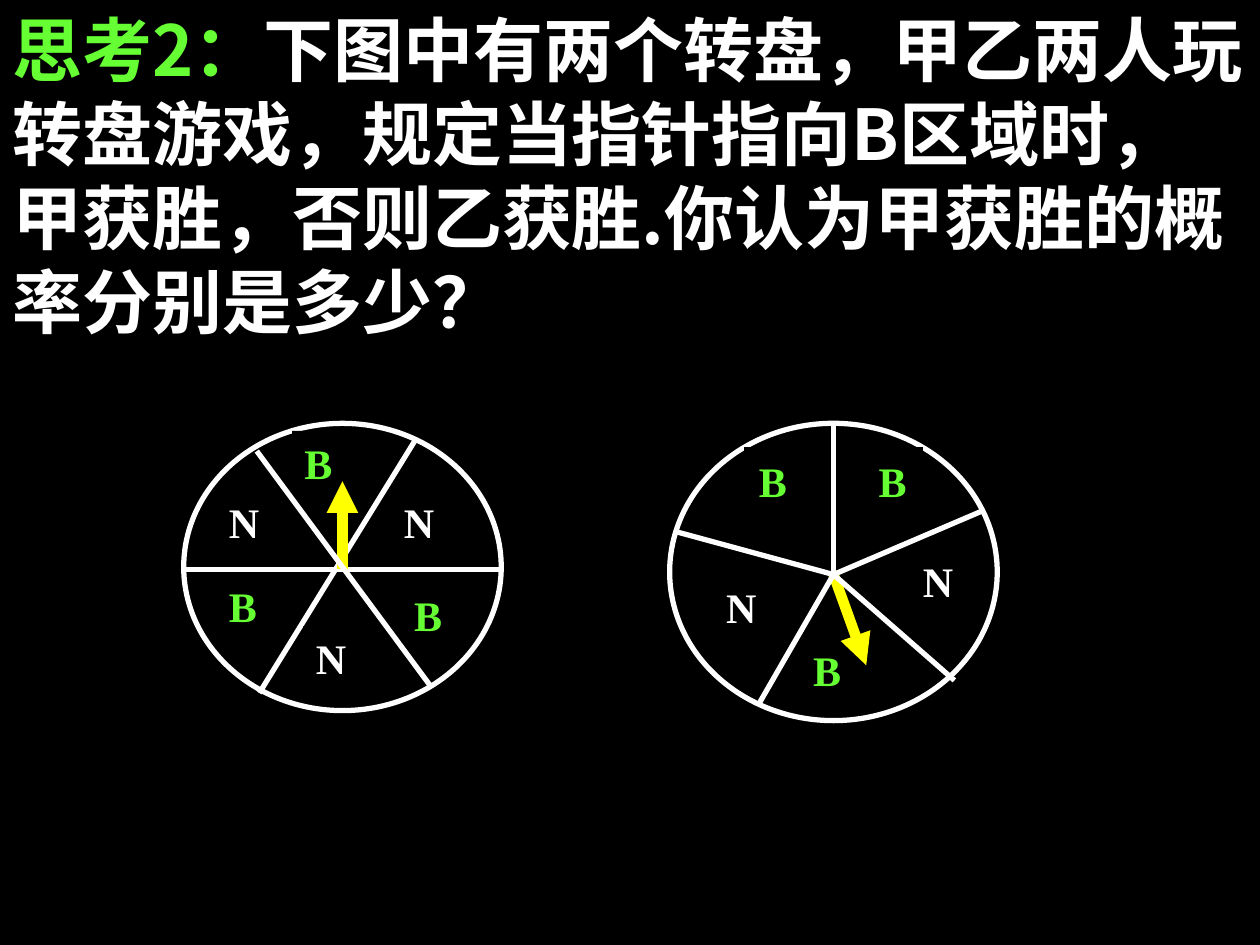
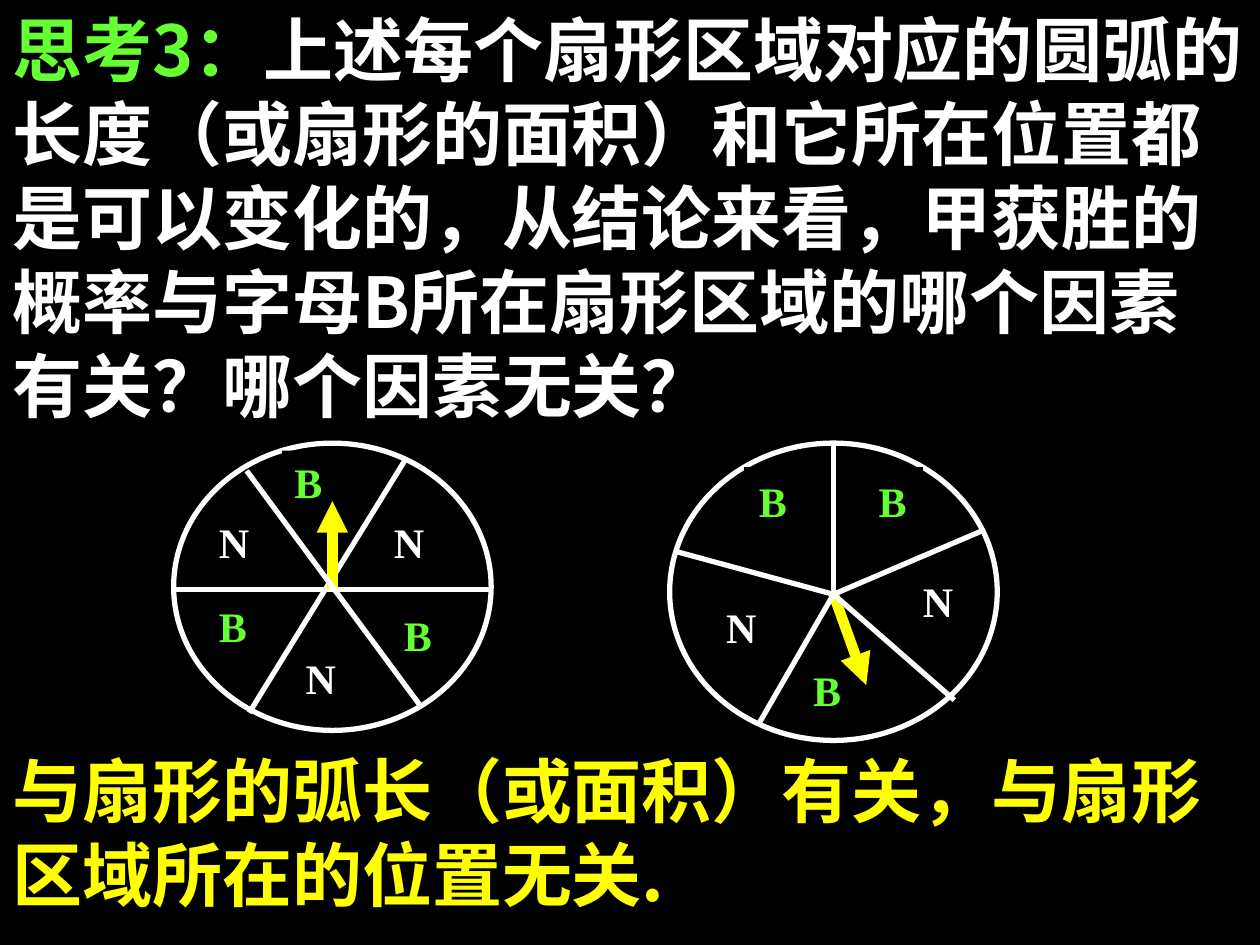
from typing import NamedTuple

from lxml import etree
from pptx import Presentation
from pptx import util as u
from pptx.dml.color import RGBColor
from pptx.enum import shapes, text
from pptx.oxml.ns import qn

WIDE, HIGH = u.Inches(10), u.Inches(7.5)
CELL = WIDE / 100
BLACK, WHITE, GREEN, YELLOW = "000000", "FFFFFF", "66FF33", "FFFF00"
HAN, ROMAN = "Noto Sans CJK SC", "Times New Roman"


class Line(NamedTuple):
    x1: float
    y1: float
    x2: float
    y2: float


class Label(NamedTuple):
    word: str
    x: float
    y: float
    wide: float
    high: float
    edge: bool = False


class Wheel(NamedTuple):
    wide: float
    high: float
    under: list[Line]
    arrow: Line
    over: list[Line]
    labels: list[Label]
    solid: bool


HUB = (13, 12)
SIX = Wheel(
    25.2, 22.8,
    [Line(0, 11.6, 25.2, 11.6), Line(18.4, 1.3, 6, 21.4)],
    Line(12.6, 11.6, 12.6, 4.6),
    [Line(5.8, 2.2, 19.7, 21)],
    [Label("B", 2.6, 12, 4.3, 4.7), Label("N", 9.5, 16.1, 5.2, 4.7),
     Label("B", 8.6, 0.6, 3.5, 4), Label("B", 17.3, 12.7, 4.3, 4.7),
     Label("N", 16.5, 5.3, 5.2, 4.7), Label("N", 2.6, 5.3, 5.2, 4.7)],
    True,
)
FIVE = Wheel(
    26, 23.6,
    [Line(*HUB, 13, 0)],
    Line(*HUB, 15.6, 19.2),
    [Line(*HUB, x, y) for x, y in [(0.5, 8.6), (7, 22.4), (22.6, 20.4), (24.7, 7)]],
    [Label("B", 6.1, 2.1, 4.3, 5, True), Label("B", 15.6, 2.1, 4.3, 5, True),
     Label("B", 10.4, 17.1, 4.3, 5), Label("N", 3.5, 12.1, 5.2, 5, True),
     Label("N", 19.1, 10, 5.2, 5, True)],
    False,
)


def grid(*cells: float) -> list[u.Emu]:
    return [u.Emu(round(c * CELL)) for c in cells]


def tint(code: str) -> RGBColor:
    return RGBColor.from_string(code)


def write(part, word: str, *, size: int, font: str, color: str) -> None:
    run = part.add_run()
    run.text = word
    run.font.size, run.font.bold, run.font.name = u.Pt(size), True, font
    run.font.color.rgb = tint(color)
    east = etree.SubElement(run._r.get_or_add_rPr(), qn("a:ea"))
    east.set("typeface", font)


def prose(box, y: float, high: float, runs: list[tuple[str, str]]) -> None:
    box.left, box.top, box.width, box.height = grid(0, y, 100, high)
    frame = box.text_frame
    frame.word_wrap, frame.auto_size = True, text.MSO_AUTO_SIZE.NONE
    frame.vertical_anchor = text.MSO_ANCHOR.TOP
    part = frame.paragraphs[0]
    part.alignment = text.PP_ALIGN.LEFT
    part.space_before, part.line_spacing = u.Pt(0), u.Pt(48)
    props = part._p.get_or_add_pPr()
    for name in ("marL", "indent", "hangingPunct"):
        props.set(name, "0")
    etree.SubElement(props, qn("a:buNone"))
    for word, color in runs:
        write(part, word, size=40, font=HAN, color=color)


def stroke(slide, x: float, y: float, line: Line, color: str, size: int,
           tip: bool = False) -> None:
    ends = grid(x + line.x1, y + line.y1, x + line.x2, y + line.y2)
    link = slide.shapes.add_connector(shapes.MSO_CONNECTOR.STRAIGHT, *ends)
    link.line.color.rgb, link.line.width = tint(color), u.Pt(size)
    if tip:
        etree.SubElement(link.line._get_or_add_ln(), qn("a:tailEnd")).set("type", "triangle")
    etree.SubElement(link._element.spPr, qn("a:effectLst"))


def form(slide, kind, place: list[u.Emu], fill: str | None, edge: str | None):
    shape = slide.shapes.add_shape(kind, *place)
    shape.shadow.inherit = False
    if fill:
        shape.fill.solid()
        shape.fill.fore_color.rgb = tint(fill)
    else:
        shape.fill.background()
    if edge:
        shape.line.color.rgb, shape.line.width = tint(edge), u.Pt(3)
        etree.SubElement(shape.line._get_or_add_ln(), qn("a:miter")).set("lim", "800000")
    else:
        shape.line.fill.background()
    return shape


def tag(slide, x: float, y: float, label: Label, fill: str | None) -> None:
    place = grid(x + label.x, y + label.y, label.wide, label.high)
    box = form(slide, shapes.MSO_SHAPE.RECTANGLE, place, fill, BLACK if label.edge else None)
    frame = box.text_frame
    frame.word_wrap, frame.vertical_anchor = True, text.MSO_ANCHOR.TOP
    part = frame.paragraphs[0]
    part.alignment = text.PP_ALIGN.JUSTIFY
    write(part, label.word, size=24, font=ROMAN, color=GREEN if label.word == "B" else WHITE)


def spin(slide, wheel: Wheel, x: float, y: float) -> None:
    form(slide, shapes.MSO_SHAPE.OVAL, grid(x, y, wheel.wide, wheel.high), BLACK, WHITE)
    for line in wheel.under:
        stroke(slide, x, y, line, WHITE, 3)
    stroke(slide, x, y, wheel.arrow, YELLOW, 6, tip=True)
    for line in wheel.over:
        stroke(slide, x, y, line, WHITE, 3)
    for label in wheel.labels:
        tag(slide, x, y, label, BLACK if wheel.solid else None)


def page(deck, layout: int, head: str, body: str, high: float, left: float, top: float):
    slide = deck.slides.add_slide(deck.slide_layouts[layout])
    prose(slide.shapes.title, 0, high, [(head, GREEN), (body, WHITE)])
    spin(slide, SIX, left, top)
    spin(slide, FIVE, 53.15, top)
    return slide


def main() -> None:
    deck = Presentation()
    deck.slide_width, deck.slide_height = WIDE, HIGH
    back = deck.slide_master.background.fill
    back.solid()
    back.fore_color.rgb = tint(BLACK)
    page(deck, 5, "思考2：",
         "下图中有两个转盘，甲乙两人玩转盘游戏，规定当指针指向B区域时，甲获胜，"
         "否则乙获胜.你认为甲获胜的概率分别是多少？", 27.7, 14.58, 33.6)
    last = page(deck, 1, "思考3：",
                "上述每个扇形区域对应的圆弧的长度（或扇形的面积）和它所在位置都是可以变化的，"
                "从结论来看，甲获胜的概率与字母B所在扇形区域的哪个因素有关？哪个因素无关？",
                34.4, 13.78, 35.17)
    prose(last.placeholders[1], 58.8, 14.4,
          [("与扇形的弧长（或面积）有关，与扇形区域所在的位置无关.", YELLOW)])
    deck.save("out.pptx")


if __name__ == "__main__":
    main()
